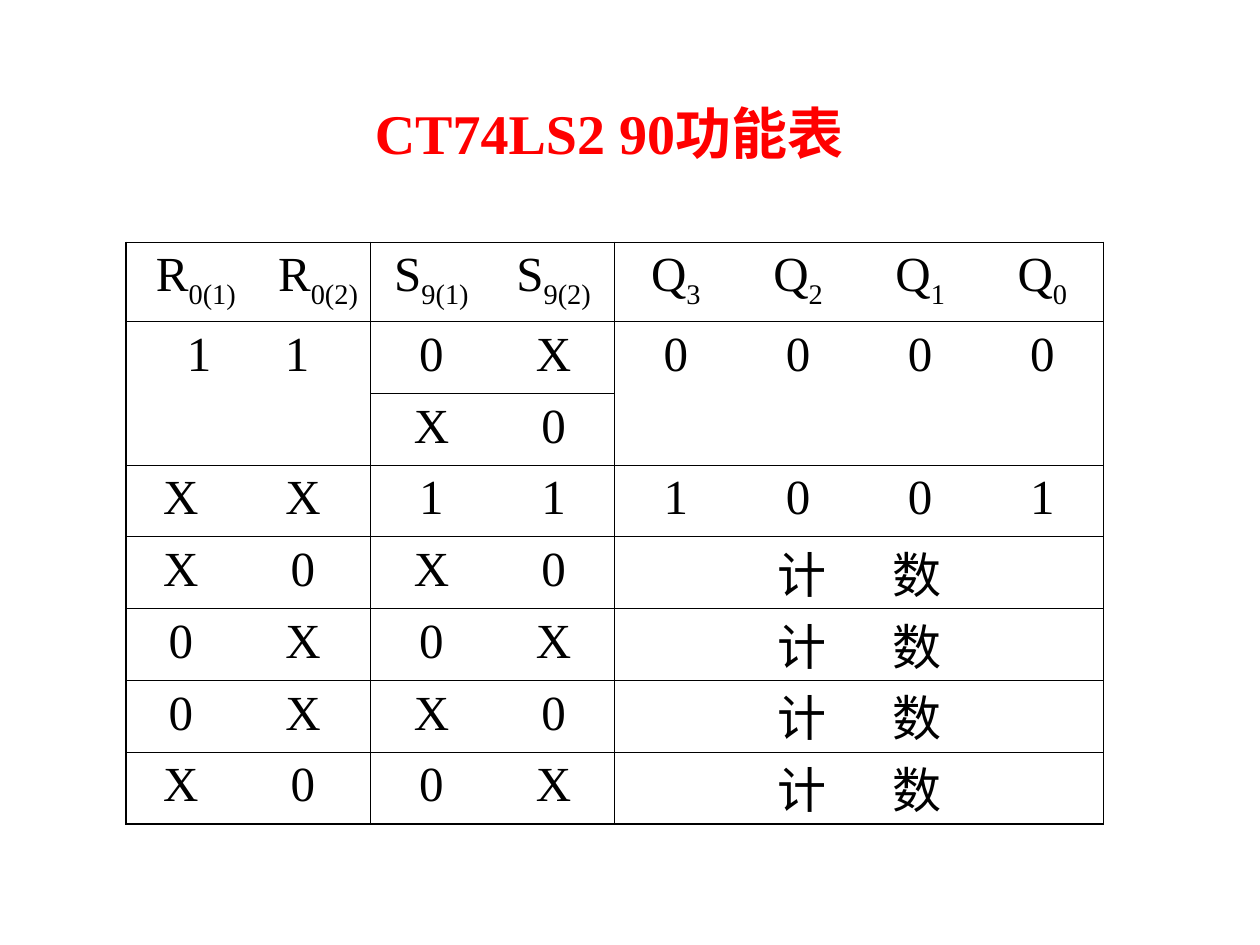
from lxml.etree import SubElement
from pptx import Presentation
from pptx.dml.color import RGBColor
from pptx.enum.text import MSO_ANCHOR, PP_ALIGN
from pptx.oxml.ns import qn
from pptx.util import Inches, Pt

COLORS = {"title": "FF0000", "ink": "000000"}
FONT = "Times New Roman"
THIN, THICK = Pt(0.45), Pt(1.08)


def add_run(paragraph, text, size, color, bold=False, **run_attributes):
    run = paragraph.add_run()
    run.text = text
    for name, value in {"name": FONT, "size": Pt(size), "bold": bold}.items():
        setattr(run.font, name, value)
    run.font.color.rgb = RGBColor.from_string(COLORS[color])
    for name, value in run_attributes.items():
        run._r.get_or_add_rPr().set(name, value)


def add_border(cell, side, width):
    line = SubElement(cell._tc.get_or_add_tcPr(), qn(f"a:ln{side}"), w=str(width))
    if width:
        fill = SubElement(line, qn("a:solidFill"))
        SubElement(fill, qn("a:srgbClr"), val=COLORS["ink"])
    else:
        SubElement(line, qn("a:noFill"))


prs = Presentation()
prs.slide_width, prs.slide_height = Inches(10), Inches(7.5)
slide = prs.slides.add_slide(prs.slide_layouts[5])

# Title
title = slide.shapes.title
title_place = {"left": 2.67, "top": 0.73, "width": 4.33, "height": 0.64}
for name, value in title_place.items():
    setattr(title, name, Inches(value))
title.text_frame.word_wrap = True
title.text_frame.vertical_anchor = MSO_ANCHOR.MIDDLE
heading = title.text_frame.paragraphs[0]
heading.alignment = PP_ALIGN.CENTER
add_run(heading, "CT74LS2 90功能表", 32, "title", bold=True)

# Function table: "_" starts a subscript, None is covered by a merged cell
COUNT = "计 数"
counting = [COUNT, None, None, None]
states = [
    ["R_0(1)", None, "R_0(2)", "S_9(1)", "S_9(2)", "Q_3", "Q_2", "Q_1", "Q_0"],
    ["1 1", None, None, "0", "X", "0", "0", "0", "0"],
    [None, None, None, "X", "0", "", "", "", ""],
    ["X", "X", None, "1", "1", "1", "0", "0", "1"],
    ["X", "0", None, "X", "0", *counting],
    ["0", "X", None, "0", "X", *counting],
    ["0", "X", None, "X", "0", *counting],
    ["X", "0", None, "0", "X", *counting],
]
column_widths = [0.87, 0.24, 0.83] + [0.97] * 6
row_heights = [0.63] + [0.57] * 7
table = slide.shapes.add_table(
    len(row_heights), len(column_widths), Inches(1), Inches(1.92),
    Inches(sum(column_widths)), Inches(sum(row_heights))).table
table.first_row = table.horz_banding = False
for column, width in zip(table.columns, column_widths):
    column.width = Inches(width)
for row, height in zip(table.rows, row_heights):
    row.height = Inches(height)

# Merged cells
table.cell(0, 0).merge(table.cell(0, 1))
table.cell(1, 0).merge(table.cell(2, 2))
for r in range(3, 8):
    table.cell(r, 1).merge(table.cell(r, 2))
for r in range(4, 8):
    table.cell(r, 5).merge(table.cell(r, 8))

# Rules between the R, S and Q groups, heavier at the left and bottom
vertical_rules = {0: THICK, 3: THIN, 5: THIN, 9: THIN}
horizontal_rules = {r: THIN for r in range(8)} | {8: THICK}

for r, state in enumerate(states):
    for c, label in enumerate(state):
        cell = table.cell(r, c)
        right = c + (cell.span_width if cell.is_merge_origin else 1)
        bottom = r + (cell.span_height if cell.is_merge_origin else 1)
        for side, edge in (("L", c), ("R", right)):
            add_border(cell, side, vertical_rules.get(edge, 0))
        for side, edge in (("T", r), ("B", bottom)):
            # Only the S columns are split between the two reset rows
            open_edge = edge == 2 and c not in (3, 4)
            add_border(cell, side, 0 if open_edge else horizontal_rules[edge])
        cell.fill.background()
        if not label:
            continue
        entry = cell.text_frame.paragraphs[0]
        entry.alignment = PP_ALIGN.CENTER
        if r == 0:
            cell.margin_left = cell.margin_right = Inches(0.05)
        if label == COUNT:
            # Fixed line height keeps the tall glyphs within the row
            entry.line_spacing = Pt(34)
            cell.margin_top, cell.margin_bottom = Inches(0.09), 0
        base, _, subscript = label.partition("_")
        first, gap, second = base.partition(" ")
        add_run(entry, first, 28, "ink")
        if gap:
            add_run(entry, gap, 28, "ink", spc="3150" if label == COUNT else "3500")
            add_run(entry, second, 28, "ink")
        if subscript:
            add_run(entry, subscript, 28, "ink", baseline="-25000")

prs.save("out.pptx")
